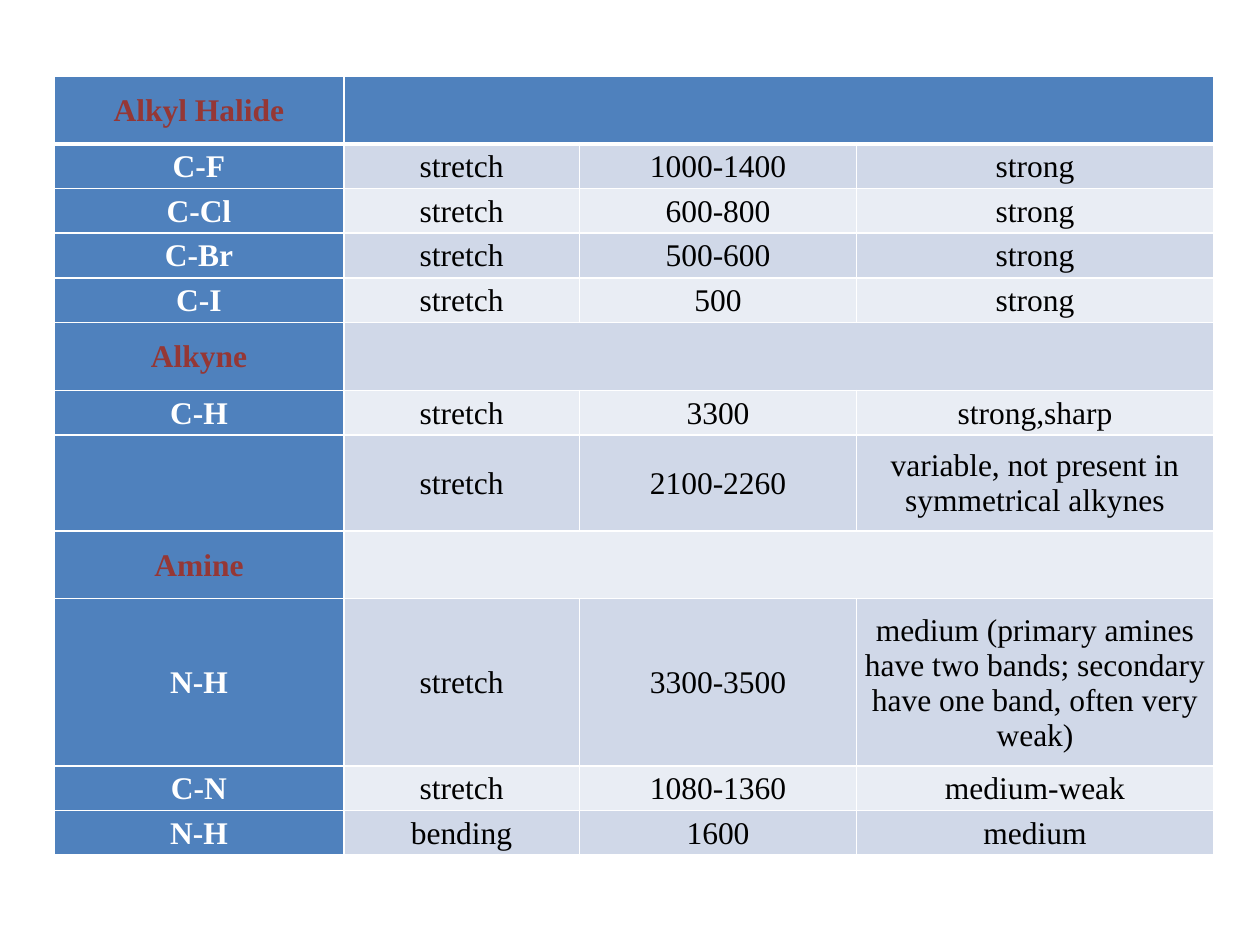
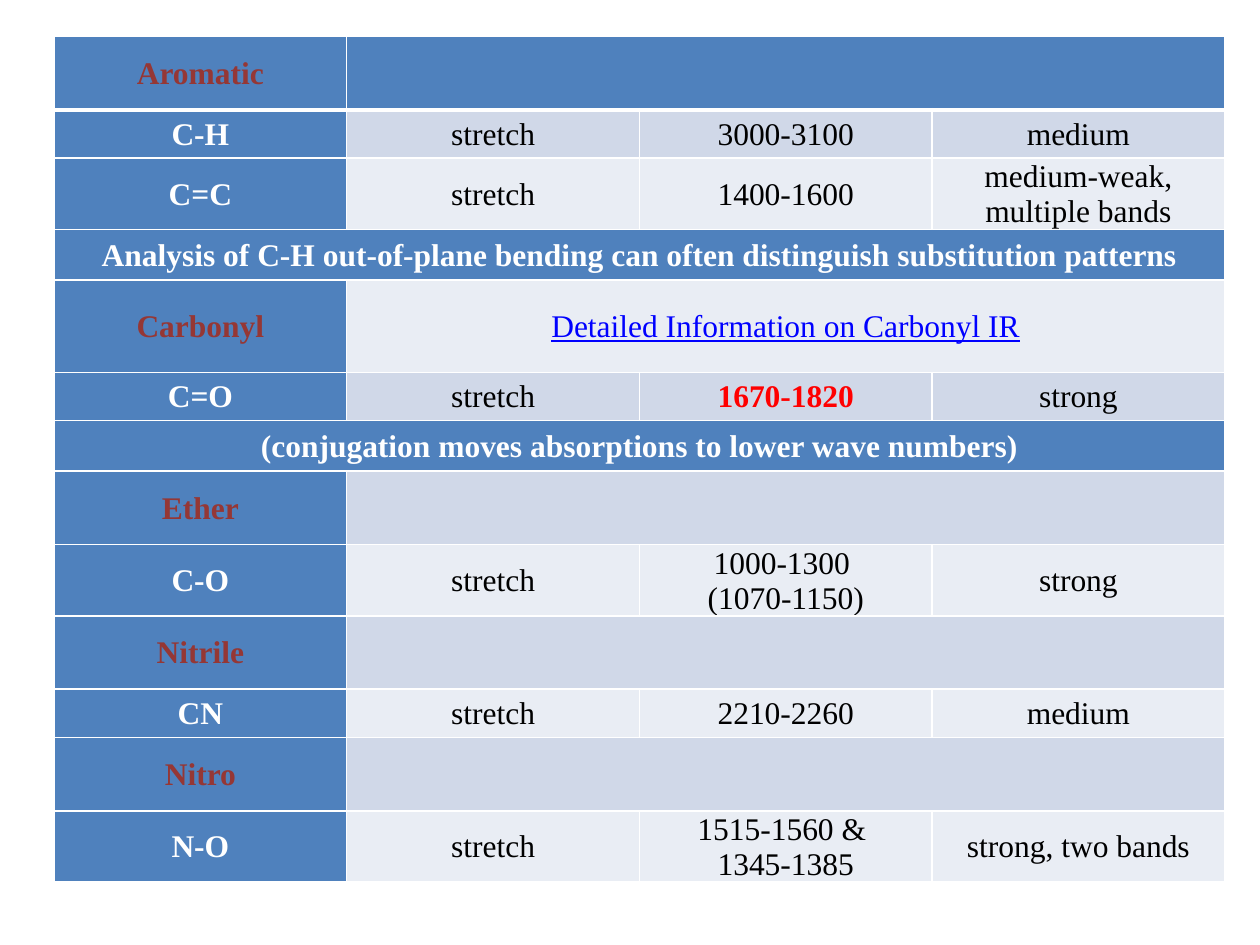
from dataclasses import dataclass

from lxml.etree import SubElement
from pptx import Presentation
from pptx.dml.color import RGBColor
from pptx.enum.text import MSO_ANCHOR, PP_ALIGN
from pptx.oxml.ns import qn
from pptx.util import Cm, Pt


@dataclass(frozen=True)
class Theme:
    font: str = "Times New Roman"
    text_size: int = 18
    border_width: float = 1
    header_border_width: float = 3
    label_fill: str = "4F81BD"
    odd_band: str = "D0D8E8"
    even_band: str = "E9EDF4"
    border: str = "FFFFFF"
    label_text: str = "FFFFFF"
    group_text: str = "953735"
    value_text: str = "000000"
    key_value_text: str = "FF0000"
    link_text: str = "0000FF"


THEME = Theme()
COLUMN_COUNT = 4

# A row's number of entries tells its kind
NOTE, GROUP, BOND = 1, 2, 4

HALIDE_TO_AMINE = [
    ("Alkyl Halide", ""),
    ("C-F", "stretch", "1000-1400", "strong"),
    ("C-Cl", "stretch", "600-800", "strong"),
    ("C-Br", "stretch", "500-600", "strong"),
    ("C-I", "stretch", "500", "strong"),
    ("Alkyne", ""),
    ("C-H", "stretch", "3300", "strong,sharp"),
    ("", "stretch", "2100-2260", "variable, not present in symmetrical alkynes"),
    ("Amine", ""),
    ("N-H", "stretch", "3300-3500",
     "medium (primary amines have two bands; secondary have one band, often very weak)"),
    ("C-N", "stretch", "1080-1360", "medium-weak"),
    ("N-H", "bending", "1600", "medium"),
]

AROMATIC_TO_NITRO = [
    ("Aromatic", ""),
    ("C-H", "stretch", "3000-3100", "medium"),
    ("C=C", "stretch", "1400-1600", "medium-weak, multiple bands"),
    ("Analysis of C-H out-of-plane bending can often distinguish substitution patterns",),
    ("Carbonyl", "Detailed Information on Carbonyl IR"),
    ("C=O", "stretch", "1670-1820", "strong"),
    ("(conjugation moves absorptions to lower wave numbers)",),
    ("Ether", ""),
    ("C-O", "stretch", "1000-1300 \n(1070-1150)", "strong"),
    ("Nitrile", ""),
    ("CN", "stretch", "2210-2260", "medium"),
    ("Nitro", ""),
    ("N-O", "stretch", "1515-1560 & \n1345-1385", "strong, two bands"),
]


def set_borders(cell, row_index):
    """Draw white cell borders, with a thicker rule under the first row."""
    widths = {"lnL": THEME.border_width, "lnR": THEME.border_width,
              "lnT": THEME.border_width, "lnB": THEME.border_width}
    if row_index == 0:
        widths["lnB"] = THEME.header_border_width
    elif row_index == 1:
        widths["lnT"] = THEME.header_border_width
    properties = cell._tc.get_or_add_tcPr()
    for position, (side, width) in enumerate(widths.items()):
        line = SubElement(properties, qn(f"a:{side}"), w=str(Pt(width)))
        fill = SubElement(line, qn("a:solidFill"))
        SubElement(fill, qn("a:srgbClr"), val=THEME.border)
        properties.insert(position, line)


def format_cell(cell, row_index, fill_color):
    """Set the fill, margins and borders of one cell."""
    cell.fill.solid()
    cell.fill.fore_color.rgb = RGBColor.from_string(fill_color)
    cell.vertical_anchor = MSO_ANCHOR.MIDDLE
    cell.margin_left = cell.margin_right = cell.margin_top = Cm(0.03)
    cell.margin_bottom = 0
    set_borders(cell, row_index)


def write_text(cell, text, color, bold=False, underline=False):
    """Fill one cell with centred text."""
    cell.text_frame.text = text
    for paragraph in cell.text_frame.paragraphs:
        paragraph.alignment = PP_ALIGN.CENTER
        for run in paragraph.runs:
            run.font.name = THEME.font
            run.font.size = Pt(THEME.text_size)
            run.font.bold = bold
            run.font.underline = underline
            run.font.color.rgb = RGBColor.from_string(color)


def fill_row(table, row_index, entries, key_values):
    """Format, merge and write one row according to its kind."""
    kind = len(entries)
    band = THEME.odd_band if row_index % 2 else THEME.even_band
    all_blue = row_index == 0 or kind == NOTE
    for column_index in range(COLUMN_COUNT):
        is_label = all_blue or column_index == 0
        format_cell(table.cell(row_index, column_index), row_index,
                    THEME.label_fill if is_label else band)

    # The last entry of a short row spans the remaining columns
    if kind < COLUMN_COUNT:
        first_cell = table.cell(row_index, kind - 1)
        first_cell.merge(table.cell(row_index, COLUMN_COUNT - 1))

    label_color = THEME.group_text if kind == GROUP else THEME.label_text
    write_text(table.cell(row_index, 0), entries[0], label_color, bold=True)
    for column_index, text in enumerate(entries[1:], start=1):
        cell = table.cell(row_index, column_index)
        if kind == GROUP:
            write_text(cell, text, THEME.link_text, underline=True)
        elif text in key_values:
            write_text(cell, text, THEME.key_value_text, bold=True)
        else:
            write_text(cell, text, THEME.value_text)


def add_absorption_table(presentation, rows, top, column_widths, heights,
                         tall_rows, key_values=()):
    """Add a slide with one absorption table; sizes are in centimetres."""
    slide = presentation.slides.add_slide(presentation.slide_layouts[6])
    row_heights = [tall_rows.get(index, heights[len(entries)])
                   for index, entries in enumerate(rows)]
    table = slide.shapes.add_table(
        len(rows), COLUMN_COUNT, Cm(1.09), Cm(top),
        Cm(sum(column_widths)), Cm(sum(row_heights))).table
    for column, width in zip(table.columns, column_widths):
        column.width = Cm(width)
    for row, height in zip(table.rows, row_heights):
        row.height = Cm(height)
    for row_index, entries in enumerate(rows):
        fill_row(table, row_index, entries, key_values)


def main():
    presentation = Presentation()
    presentation.slide_width, presentation.slide_height = Cm(25.4), Cm(19.05)

    # Alkyl halides, alkynes and amines
    add_absorption_table(
        presentation, HALIDE_TO_AMINE, top=1.53,
        column_widths=[5.84, 4.75, 5.59, 7.19],
        heights={GROUP: 1.37, BOND: 0.9}, tall_rows={7: 1.93, 9: 3.37})

    # Aromatics, carbonyls, ethers, nitriles and nitro compounds
    add_absorption_table(
        presentation, AROMATIC_TO_NITRO, top=0.74,
        column_widths=[5.9] * COLUMN_COUNT,
        heights={NOTE: 1.02, GROUP: 1.48, BOND: 0.97},
        tall_rows={2: 1.07, 4: 1.86, 8: 1.07, 12: 1.07},
        key_values=("1670-1820",))

    presentation.save("out.pptx")


if __name__ == "__main__":
    main()
